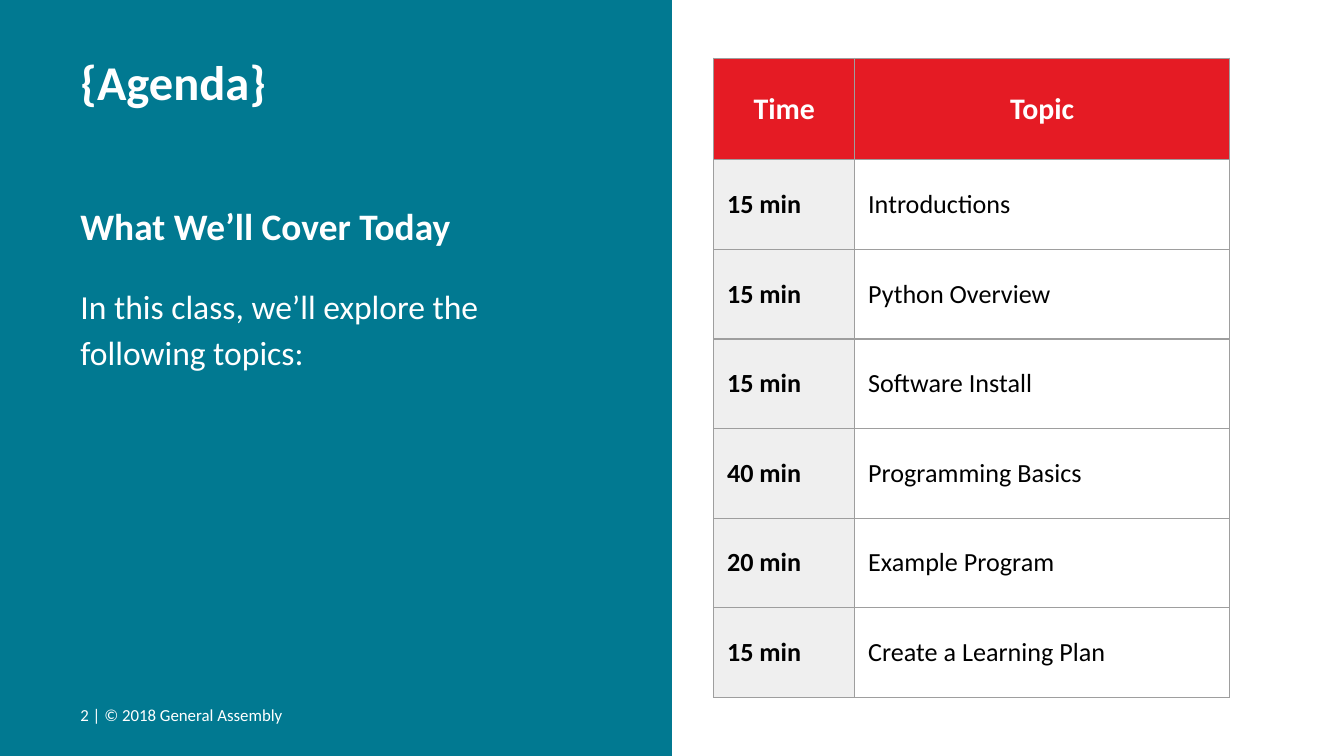
import dataclasses

import lxml.etree
import pptx
import pptx.dml.color
import pptx.enum.shapes
import pptx.enum.text
import pptx.oxml.ns
import pptx.util

Pt = pptx.util.Pt
Anchor = pptx.enum.text.MSO_ANCHOR
Align = pptx.enum.text.PP_ALIGN


@dataclasses.dataclass(frozen=True)
class Theme:
    font: str = "Calibri"
    teal: str = "017991"
    red: str = "E51B24"
    gray: str = "EFEFEF"
    border: str = "9E9E9E"
    white: str = "FFFFFF"
    black: str = "000000"
    title: float = 26
    subtitle: float = 20
    body: float = 18
    header: float = 16
    cell: float = 14
    footer: float = 9
    inset: float = 7.2
    border_width: float = 0.75


THEME = Theme()

AGENDA = [
    ("15 min", "Introductions"),
    ("15 min", "Python Overview"),
    ("15 min", "Software Install"),
    ("40 min", "Programming Basics"),
    ("20 min", "Example Program"),
    ("15 min", "Create a Learning Plan"),
]


def rgb(value):
    return pptx.dml.color.RGBColor.from_string(value)


def add_run(paragraph, text, size, color, bold=False):
    run = paragraph.add_run()
    run.text = text
    run.font.name = THEME.font
    run.font.size = Pt(size)
    run.font.bold = bold
    run.font.color.rgb = rgb(color)


def set_insets(target):
    for side in ("left", "right", "top", "bottom"):
        setattr(target, f"margin_{side}", Pt(THEME.inset))


def add_panel(slide, width, height):
    panel = slide.shapes.add_shape(
        pptx.enum.shapes.MSO_SHAPE.RECTANGLE, 0, 0, Pt(width), Pt(height))
    panel.shadow.inherit = False
    panel.fill.solid()
    panel.fill.fore_color.rgb = rgb(THEME.teal)
    panel.line.fill.background()


def add_text(slide, box, text, size, bold=False, anchor=Anchor.TOP, spaced=False):
    shape = slide.shapes.add_textbox(*(Pt(length) for length in box))
    frame = shape.text_frame
    frame.word_wrap = True
    frame.vertical_anchor = anchor
    set_insets(frame)
    paragraph = frame.paragraphs[0]
    if spaced:
        paragraph.line_spacing = 1.15
        paragraph.space_after = Pt(16)
    add_run(paragraph, text, size, THEME.white, bold)


def add_borders(cell):
    properties = cell._tc.get_or_add_tcPr()
    for side in ("lnL", "lnR", "lnT", "lnB"):
        line = lxml.etree.SubElement(
            properties, pptx.oxml.ns.qn(f"a:{side}"), w=str(Pt(THEME.border_width)))
        fill = lxml.etree.SubElement(line, pptx.oxml.ns.qn("a:solidFill"))
        lxml.etree.SubElement(fill, pptx.oxml.ns.qn("a:srgbClr"), val=THEME.border)


def fill_cell(cell, text, size, color, bold, fill=None, align=Align.LEFT):
    add_borders(cell)
    if fill:
        cell.fill.solid()
        cell.fill.fore_color.rgb = rgb(fill)
    else:
        cell.fill.background()
    set_insets(cell)
    cell.vertical_anchor = Anchor.MIDDLE
    paragraph = cell.text_frame.paragraphs[0]
    paragraph.alignment = align
    add_run(paragraph, text, size, color, bold)


def add_agenda(slide, left, top, widths, header_height, row_height):
    heights = [header_height] + [row_height] * len(AGENDA)
    table = slide.shapes.add_table(
        len(heights), len(widths), Pt(left), Pt(top),
        Pt(sum(widths)), Pt(sum(heights))).table
    table.first_row = False
    table.horz_banding = False
    for column, width in zip(table.columns, widths):
        column.width = Pt(width)
    for row, height in zip(table.rows, heights):
        row.height = Pt(height)

    # Header row, then one row per agenda item
    for index, heading in enumerate(("Time", "Topic")):
        fill_cell(table.cell(0, index), heading, THEME.header, THEME.white,
                  True, THEME.red, Align.CENTER)
    for index, (time, topic) in enumerate(AGENDA, start=1):
        fill_cell(table.cell(index, 0), time, THEME.cell, THEME.black, True, THEME.gray)
        fill_cell(table.cell(index, 1), topic, THEME.cell, THEME.black, False)


def main():
    presentation = pptx.Presentation()
    presentation.slide_width = Pt(720)
    presentation.slide_height = Pt(405)
    slide = presentation.slides.add_slide(presentation.slide_layouts[6])

    # Left panel with its texts
    add_panel(slide, 360, 405)
    add_text(slide, (36, 20.4, 267, 45), "{Agenda}", THEME.title, bold=True)
    add_text(slide, (36, 98, 313, 25), "What We’ll Cover Today",
             THEME.subtitle, bold=True, spaced=True)
    add_text(slide, (36, 142.6, 250, 221),
             "In this class, we’ll explore the following topics:",
             THEME.body, spaced=True)
    add_text(slide, (36, 367.2, 186.5, 31), "2 | © 2018 General Assembly",
             THEME.footer, anchor=Anchor.MIDDLE)

    # Timetable on the right
    add_agenda(slide, 382.3, 31.2, (75.6, 200.9), 54.4, 48)

    presentation.save("out.pptx")


if __name__ == "__main__":
    main()
